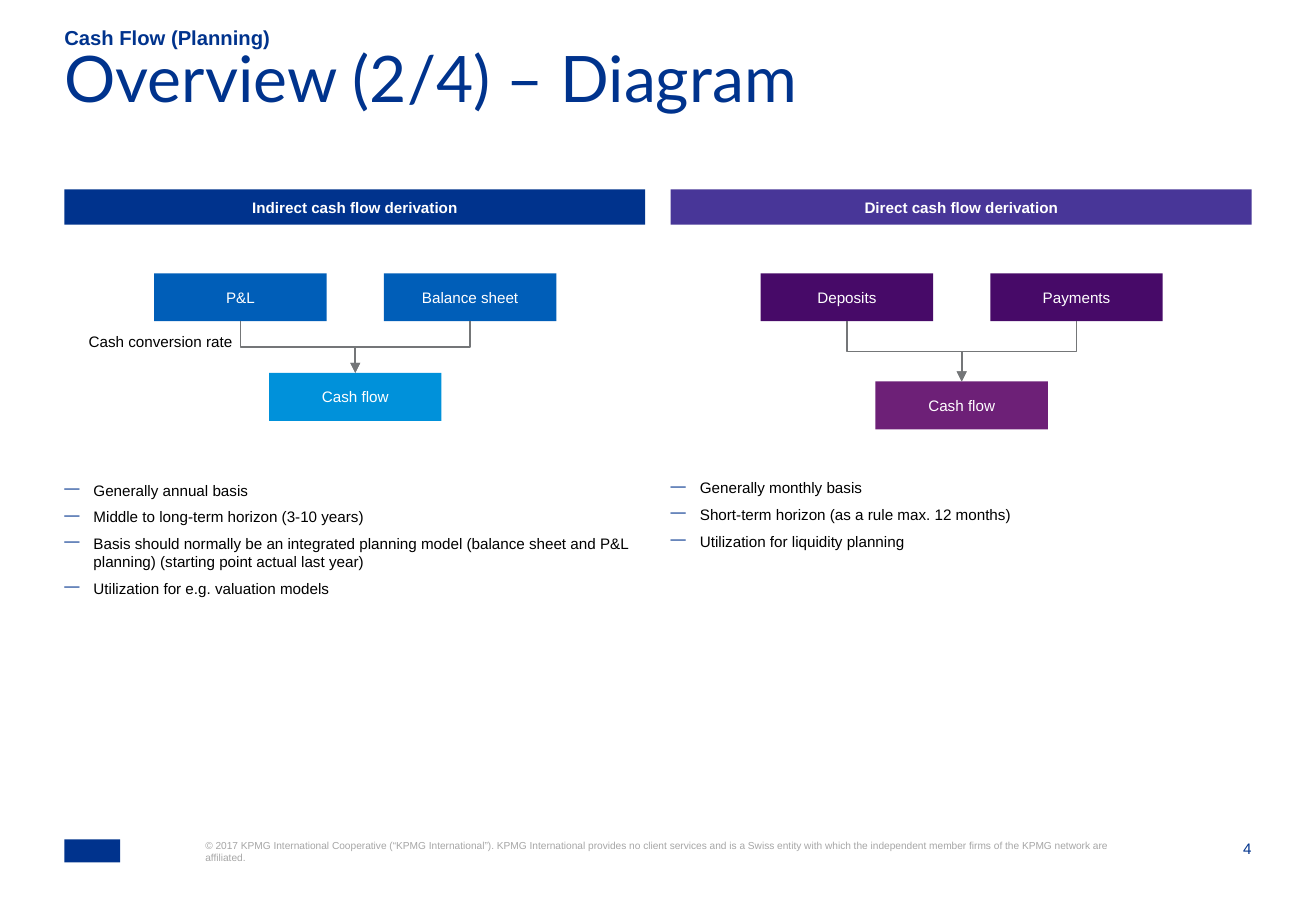
import pptx
import pptx.dml.color
import pptx.enum.shapes
import pptx.enum.text
import pptx.oxml
import pptx.oxml.ns
import pptx.util
from lxml import etree

RGBColor = pptx.dml.color.RGBColor
Align = pptx.enum.text.PP_ALIGN
Anchor = pptx.enum.text.MSO_ANCHOR
Pt = pptx.util.Pt

NAVY = RGBColor(0x00, 0x33, 0x8D)
BLUE = RGBColor(0x00, 0x5E, 0xB8)
LIGHT_BLUE = RGBColor(0x00, 0x91, 0xDA)
VIOLET = RGBColor(0x48, 0x36, 0x98)
DARK_PURPLE = RGBColor(0x47, 0x0A, 0x68)
PURPLE = RGBColor(0x6D, 0x20, 0x77)
GREY = RGBColor(0x74, 0x76, 0x78)
PALE_GREY = RGBColor(0xA6, 0xA6, 0xA6)
BLACK = RGBColor(0, 0, 0)
WHITE = RGBColor(0xFF, 0xFF, 0xFF)

SLIDE_WIDTH = pptx.util.Inches(10.83)
SLIDE_HEIGHT = pptx.util.Inches(7.5)

MARGIN = 4.89
PANEL_WIDTH = 44.14
PANEL_STEP = 46.08
SOURCE_INDENT = 6.83
SOURCE_STEP = 17.45
BOX_WIDTH = 13.11
BOX_HEIGHT = 5.27
SOURCE_TOP = 30

PANELS = [
    {
        "heading": ("Indirect cash flow derivation", NAVY),
        "sources": (["P&L", "Balance sheet"], BLUE),
        "result": ("Cash flow", LIGHT_BLUE, 40.93),
        "points_top": 52.8,
        "points": [
            "Generally annual basis",
            "Middle to long-term horizon (3-10 years)",
            "Basis should normally be an integrated planning model "
            "(balance sheet and P&L planning) (starting point actual last year)",
            "Utilization for e.g. valuation models",
        ],
    },
    {
        "heading": ("Direct cash flow derivation", VIOLET),
        "sources": (["Deposits", "Payments"], DARK_PURPLE),
        "result": ("Cash flow", PURPLE, 41.87),
        "points_top": 52.53,
        "points": [
            "Generally monthly basis",
            "Short-term horizon (as a rule max. 12 months)",
            "Utilization for liquidity planning",
        ],
    },
]
COPYRIGHT = (
    "© 2017 KPMG International Cooperative (“KPMG International”). "
    "KPMG International provides no client services and is a Swiss entity "
    "with which the independent member firms of the KPMG network are affiliated."
)


def across(share):
    """Turn a percentage of the slide width into a length."""
    return round(SLIDE_WIDTH * share / 100)


def down(share):
    """Turn a percentage of the slide height into a length."""
    return round(SLIDE_HEIGHT * share / 100)


def area(left, top, width, height):
    """Turn percentages of the slide into left, top, width and height."""
    return across(left), down(top), across(width), down(height)


def style(paragraph, size, color, bold=False, name="Arial"):
    """Set the font of a paragraph."""
    font = paragraph.font
    font.name, font.size, font.bold = name, Pt(size), bold
    font.color.rgb = color


def set_frame(frame, anchor, inset=0):
    """Give a text frame wrapping, an anchor and equal insets."""
    frame.word_wrap = True
    frame.auto_size = pptx.enum.text.MSO_AUTO_SIZE.NONE
    frame.vertical_anchor = anchor
    frame.margin_left = frame.margin_right = pptx.util.Inches(inset)
    frame.margin_top = frame.margin_bottom = pptx.util.Inches(inset)


def add_text(slide, place, text, size, color, bold=False, align=Align.LEFT, anchor=Anchor.TOP):
    """Add a one-paragraph text box."""
    frame = slide.shapes.add_textbox(*area(*place)).text_frame
    set_frame(frame, anchor)
    paragraph = frame.paragraphs[0]
    paragraph.text, paragraph.alignment = text, align
    style(paragraph, size, color, bold)


def add_box(slide, place, fill, text="", bold=False):
    """Add a filled rectangle with a centred label."""
    box = slide.shapes.add_shape(pptx.enum.shapes.MSO_SHAPE.RECTANGLE, *area(*place))
    box.shadow.inherit = False
    box.fill.solid()
    box.fill.fore_color.rgb = fill
    box.line.fill.background()
    if text:
        set_frame(box.text_frame, Anchor.MIDDLE, 0.06)
        label = box.text_frame.paragraphs[0]
        label.text, label.alignment = text, Align.CENTER
        style(label, 9, WHITE, bold)
    return box


def add_flow(slide, source, result):
    """Lead a bent arrow from the bottom of one box to the top of another."""
    start_x, start_y = source.left + source.width // 2, source.top + source.height
    run = result.left + result.width // 2 - start_x
    drop = result.top - start_y
    middle_x, middle_y = start_x + run // 2, start_y + drop // 2
    half_drop = drop // 2 if run > 0 else -drop // 2
    half_run = abs(run) // 2
    flow = slide.shapes.add_connector(
        pptx.enum.shapes.MSO_CONNECTOR.ELBOW,
        middle_x + half_drop, middle_y - half_run,
        middle_x - half_drop, middle_y + half_run,
    )
    flow.line.color.rgb, flow.line.width = GREY, Pt(1)
    properties = flow._element.spPr
    properties.xfrm.set("rot", str((270 if run > 0 else 90) * 60000))
    etree.SubElement(flow.line._get_or_add_ln(), pptx.oxml.ns.qn("a:tailEnd"), type="triangle")
    etree.SubElement(properties, pptx.oxml.ns.qn("a:effectLst"))


def add_points(slide, place, points):
    """Add a list with dash bullets."""
    frame = slide.shapes.add_textbox(*area(*place)).text_frame
    set_frame(frame, Anchor.TOP)
    for index, point in enumerate(points):
        paragraph = frame.paragraphs[0] if index == 0 else frame.add_paragraph()
        paragraph.text = point
        paragraph.space_after = Pt(5)
        properties = paragraph._p.get_or_add_pPr()
        indent = pptx.util.Inches(0.24)
        properties.set("marL", str(indent))
        properties.set("indent", str(-indent))
        bullet_color = etree.SubElement(properties, pptx.oxml.ns.qn("a:buClr"))
        etree.SubElement(bullet_color, pptx.oxml.ns.qn("a:srgbClr"), val=str(NAVY))
        etree.SubElement(properties, pptx.oxml.ns.qn("a:buChar"), char="—")
        style(paragraph, 9, BLACK)


def add_panel(slide, left, panel):
    """Add a heading, its flow diagram and its list."""
    heading, heading_color = panel["heading"]
    add_box(slide, (left, 20.8, PANEL_WIDTH, 3.87), heading_color, heading, True)
    first = left + SOURCE_INDENT
    names, source_color = panel["sources"]
    sources = [
        add_box(slide, (first + index * SOURCE_STEP, SOURCE_TOP, BOX_WIDTH, BOX_HEIGHT),
                source_color, name)
        for index, name in enumerate(names)
    ]
    name, result_color, top = panel["result"]
    result = add_box(slide, (first + SOURCE_STEP / 2, top, BOX_WIDTH, BOX_HEIGHT),
                     result_color, name)
    for source in sources:
        add_flow(slide, source, result)
    add_points(slide, (left, panel["points_top"], PANEL_WIDTH, 17.47), panel["points"])


def set_title(slide, text):
    """Place and format the slide title."""
    title = slide.shapes.title
    title.left, title.top, title.width, title.height = area(MARGIN, 6.53, 90.12, 10.53)
    set_frame(title.text_frame, Anchor.TOP)
    paragraph = title.text_frame.paragraphs[0]
    paragraph.text, paragraph.alignment = text, Align.LEFT
    paragraph.line_spacing = 0.7
    style(paragraph, 38, NAVY, name="Lato")


def main():
    """Build the slide and save it."""
    deck = pptx.Presentation()
    deck.slide_width, deck.slide_height = SLIDE_WIDTH, SLIDE_HEIGHT
    slide = deck.slides.add_slide(deck.slide_layouts.get_by_name("Title Only"))
    add_text(slide, (MARGIN, 2.93, 86.8, 2.53), "Cash Flow (Planning)", 12, NAVY, True,
             anchor=Anchor.BOTTOM)
    set_title(slide, "Overview (2/4) – Diagram")
    for index, panel in enumerate(PANELS):
        add_panel(slide, MARGIN + index * PANEL_STEP, panel)
    add_text(slide, (6.74, 36.53, 12.37, 2), "Cash conversion rate", 9, BLACK)
    add_box(slide, (MARGIN, 92.13, 4.25, 2.53), NAVY)
    add_text(slide, (15.6, 92.13, 69.16, 5.47), COPYRIGHT, 6, PALE_GREY)
    add_text(slide, (91.14, 92.13, 3.97, 2.13), "4", 9, NAVY, align=Align.RIGHT)
    deck.save("out.pptx")


if __name__ == "__main__":
    main()
